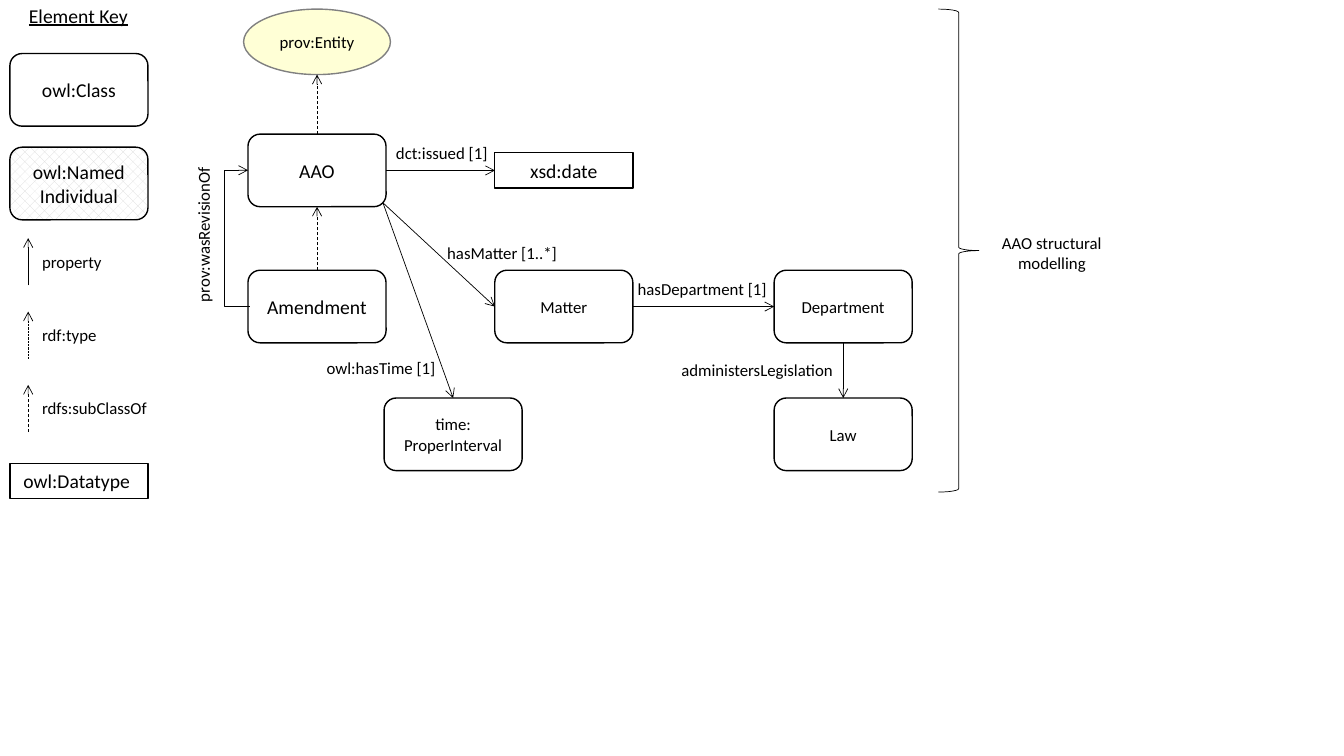
import pptx
import pptx.util
import pptx.dml.color
import pptx.enum.dml
import pptx.enum.shapes
import pptx.enum.text
import pptx.oxml
import pptx.oxml.ns
from pptx.util import Cm

SHAPE = pptx.enum.shapes.MSO_SHAPE
CONNECTOR = pptx.enum.shapes.MSO_CONNECTOR
DASH = pptx.enum.dml.MSO_LINE
ALIGN = pptx.enum.text.PP_ALIGN
BLACK, WHITE = "000000", "FFFFFF"
BOX_W, BOX_H, DATATYPE_H = 3.48, 1.83, 0.89
TOP, LEFT, BOTTOM, RIGHT = range(4)  # connection sites of a box


def color(hex_code):
    return pptx.dml.color.RGBColor.from_string(hex_code)


def write(frame, text, size, align):
    """Fill a text frame; newline starts a paragraph, vertical tab a line."""
    for number, paragraph_text in enumerate(text.split("\n")):
        paragraph = frame.add_paragraph() if number else frame.paragraphs[0]
        paragraph.alignment = align
        for line_number, line_text in enumerate(paragraph_text.split("\v")):
            if line_number:
                paragraph.add_line_break()
            run = paragraph.add_run()
            run.text = line_text
            run.font.name = "Calibri"
            run.font.size = pptx.util.Pt(size)
            run.font.color.rgb = color(BLACK)
            run.font.underline = True if text == "Element Key" else None


presentation = pptx.Presentation()
presentation.slide_width = Cm(33.87)
presentation.slide_height = Cm(19.05)
slide = presentation.slides.add_slide(presentation.slide_layouts[6])

# Classes, individual, datatypes and the side note
nodes = {}
for text, kind, x, y, w, h, size, fill, outline in [
    ("owl:Class", SHAPE.ROUNDED_RECTANGLE, 0.25, 1.35, BOX_W, BOX_H, 14, None, BLACK),
    ("owl:Named\vIndividual", SHAPE.ROUNDED_RECTANGLE, 0.25, 3.71, BOX_W, BOX_H, 14, "pattern", BLACK),
    ("owl:Datatype ", SHAPE.RECTANGLE, 0.25, 11.68, BOX_W, DATATYPE_H, 14, WHITE, BLACK),
    ("prov:Entity", SHAPE.OVAL, 6.14, 0.23, 3.7, 1.65, 12, "FFFFD6", "808080"),
    ("AAO", SHAPE.ROUNDED_RECTANGLE, 6.25, 3.38, BOX_W, BOX_H, 14, None, BLACK),
    ("Amendment", SHAPE.ROUNDED_RECTANGLE, 6.25, 6.81, BOX_W, BOX_H, 14, None, BLACK),
    ("xsd:date", SHAPE.RECTANGLE, 12.47, 3.85, BOX_W, DATATYPE_H, 14, WHITE, BLACK),
    ("Matter", SHAPE.ROUNDED_RECTANGLE, 12.47, 6.81, BOX_W, BOX_H, 12, None, BLACK),
    ("Department", SHAPE.ROUNDED_RECTANGLE, 19.51, 6.81, BOX_W, BOX_H, 12, None, BLACK),
    ("time:\nProperInterval", SHAPE.ROUNDED_RECTANGLE, 9.68, 10.03, BOX_W, BOX_H, 12, None, BLACK),
    ("Law", SHAPE.ROUNDED_RECTANGLE, 19.51, 10.03, BOX_W, BOX_H, 12, None, BLACK),
    ("AAO structural modelling", SHAPE.ROUNDED_RECTANGLE, 24.77, 5.46, BOX_W, BOX_H, 12, None, WHITE),
]:
    node = slide.shapes.add_shape(kind, Cm(x), Cm(y), Cm(w), Cm(h))
    node.shadow.inherit = False
    if fill is None:
        node.fill.background()
    elif fill == "pattern":
        node.fill.patterned()
        node.fill.pattern = pptx.enum.dml.MSO_PATTERN.PERCENT_30
        node.fill.fore_color.rgb = color("D9D9D9")
        node.fill.back_color.rgb = color(WHITE)
    else:
        node.fill.solid()
        node.fill.fore_color.rgb = color(fill)
    node.line.color.rgb = color(outline)
    node.line.width = pptx.util.Pt(1)
    node.text_frame.vertical_anchor = pptx.enum.text.MSO_ANCHOR.MIDDLE
    write(node.text_frame, text, size, ALIGN.CENTER)
    nodes[text] = node

# Brace around the structural model
brace = slide.shapes.add_shape(SHAPE.RIGHT_BRACE, Cm(23.65), Cm(0.23), Cm(1.02), Cm(12.17))
brace.shadow.inherit = False
brace.fill.background()
brace.line.color.rgb = color(BLACK)
brace.line.width = pptx.util.Pt(0.5)

# Arrows: an end is either a point or a (node, site) pair
aao_corner = (9.65, 5.11)
entity_bottom = (7.99, 1.88)
arrows = [
    (("AAO", TOP), entity_bottom, DASH.DASH),
    (("Amendment", TOP), ("AAO", BOTTOM), DASH.DASH),
    (("AAO", RIGHT), ("xsd:date", LEFT), None),
    (("Matter", RIGHT), ("Department", LEFT), None),
    (("Department", BOTTOM), ("Law", TOP), None),
    (aao_corner, ("Matter", LEFT), None),
    (aao_corner, ("time:\nProperInterval", TOP), None),
]
for row, dash in enumerate([None, DASH.ROUND_DOT, DASH.DASH]):
    key_top = 6 + 1.85 * row
    arrows.append(((0.71, key_top + 1.19), (0.71, key_top), dash))
revision_top, revision_bottom = (6.25, 4.29), (6.29, 7.72)
arrows.append((revision_top, revision_bottom, "revision"))

for start, end, style in arrows:
    is_revision = style == "revision"
    start_point = start if isinstance(start[0], float) else (0, 0)
    end_point = end if isinstance(end[0], float) else (0, 0)
    arrow = slide.shapes.add_connector(
        CONNECTOR.ELBOW if is_revision else CONNECTOR.STRAIGHT,
        *(Cm(value) for value in start_point + end_point))
    if isinstance(start[0], str):
        arrow.begin_connect(nodes[start[0]], start[1])
    if isinstance(end[0], str):
        arrow.end_connect(nodes[end[0]], end[1])
    arrow.line.color.rgb = color(BLACK)
    arrow.line.width = pptx.util.Pt(0.5)
    properties = arrow.element.spPr
    if is_revision:
        # Half a turn makes it run from Amendment up to AAO, bulging left
        properties.find(pptx.oxml.ns.qn("a:xfrm")).set("rot", "10800000")
        properties.find(pptx.oxml.ns.qn("a:prstGeom")).get_or_add_avLst().append(pptx.oxml.parse_xml(
            f'<a:gd {pptx.oxml.ns.nsdecls("a")} name="adj1" fmla="val 1575000"/>'))
    elif style:
        arrow.line.dash_style = style
    for holder, tag in [(properties.get_or_add_ln(), 'tailEnd type="arrow"'), (properties, "effectLst")]:
        name, _, attribute = tag.partition(" ")
        holder.append(pptx.oxml.parse_xml(
            f'<a:{name} {pptx.oxml.ns.nsdecls("a")} {attribute}/>'))

# Key heading, key entries and property labels
for text, x, y, w, h, size, rotation in [
    ("Element Key", 0.48, -0.03, 3.02, 0.86, 14, 0),
    ("property", 0.81, 6.22, 2.03, 0.76, 12, 0),
    ("rdf:type", 0.81, 8.05, 1.88, 0.76, 12, 0),
    ("rdfs:subClassOf", 0.81, 9.91, 3.18, 0.76, 12, 0),
    ("prov:wasRevisionOf", 3.15, 5.51, 3.94, 0.76, 12, 270),
    ("dct:issued [1]", 9.73, 3.48, 2.84, 0.76, 12, 0),
    ("hasMatter [1..*]", 11.02, 5.99, 3.3, 0.76, 12, 0),
    ("hasDepartment [1]", 15.82, 6.91, 3.78, 0.76, 12, 0),
    ("owl:hasTime [1]", 7.98, 8.89, 3.3, 0.76, 12, 0),
    ("administersLegislation", 16.92, 8.94, 4.37, 0.76, 12, 0),
]:
    label = slide.shapes.add_textbox(Cm(x), Cm(y), Cm(w), Cm(h))
    label.rotation = rotation
    label.text_frame.word_wrap = False
    label.text_frame.auto_size = pptx.enum.text.MSO_AUTO_SIZE.SHAPE_TO_FIT_TEXT
    write(label.text_frame, text, size, ALIGN.LEFT)

presentation.save("out.pptx")
